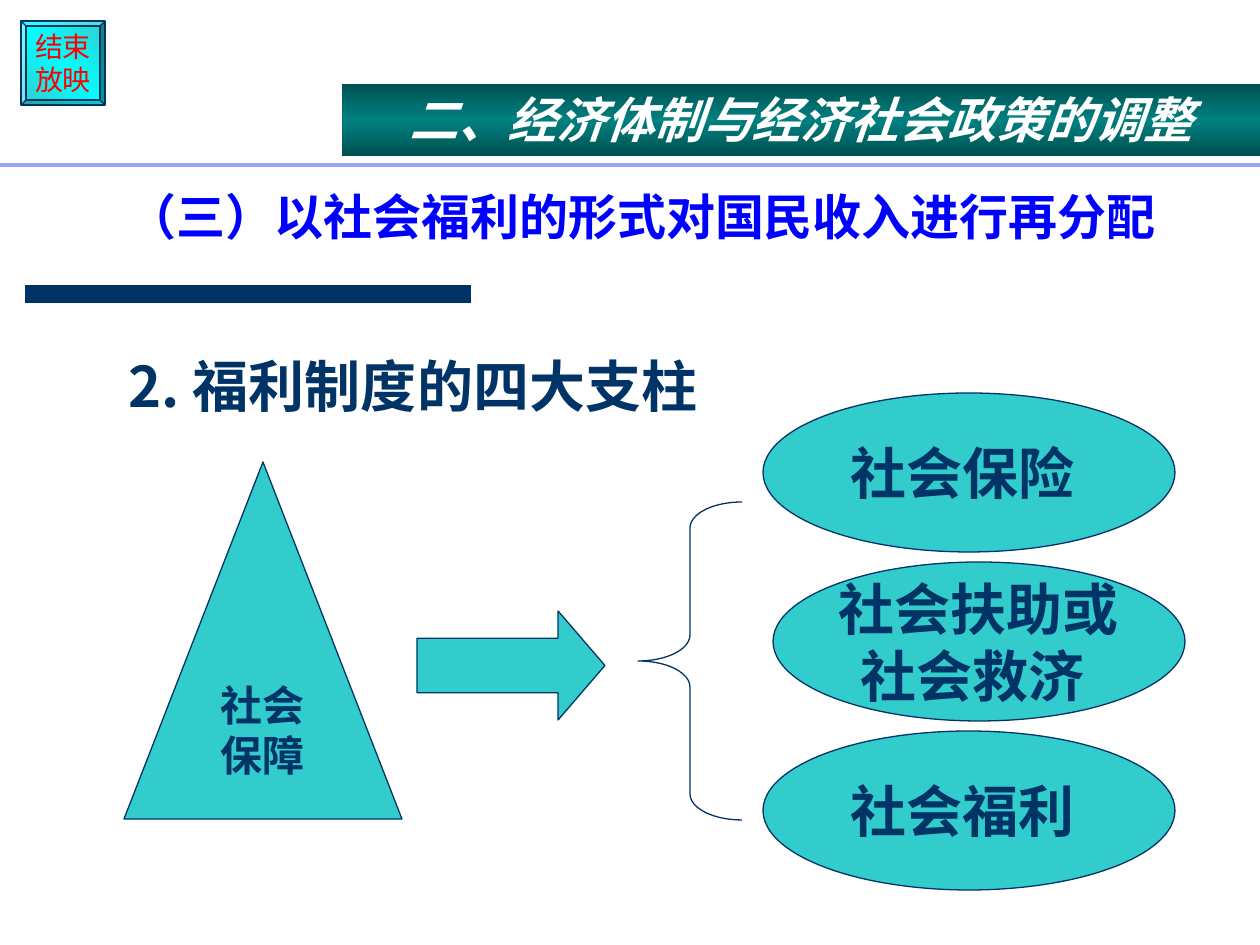
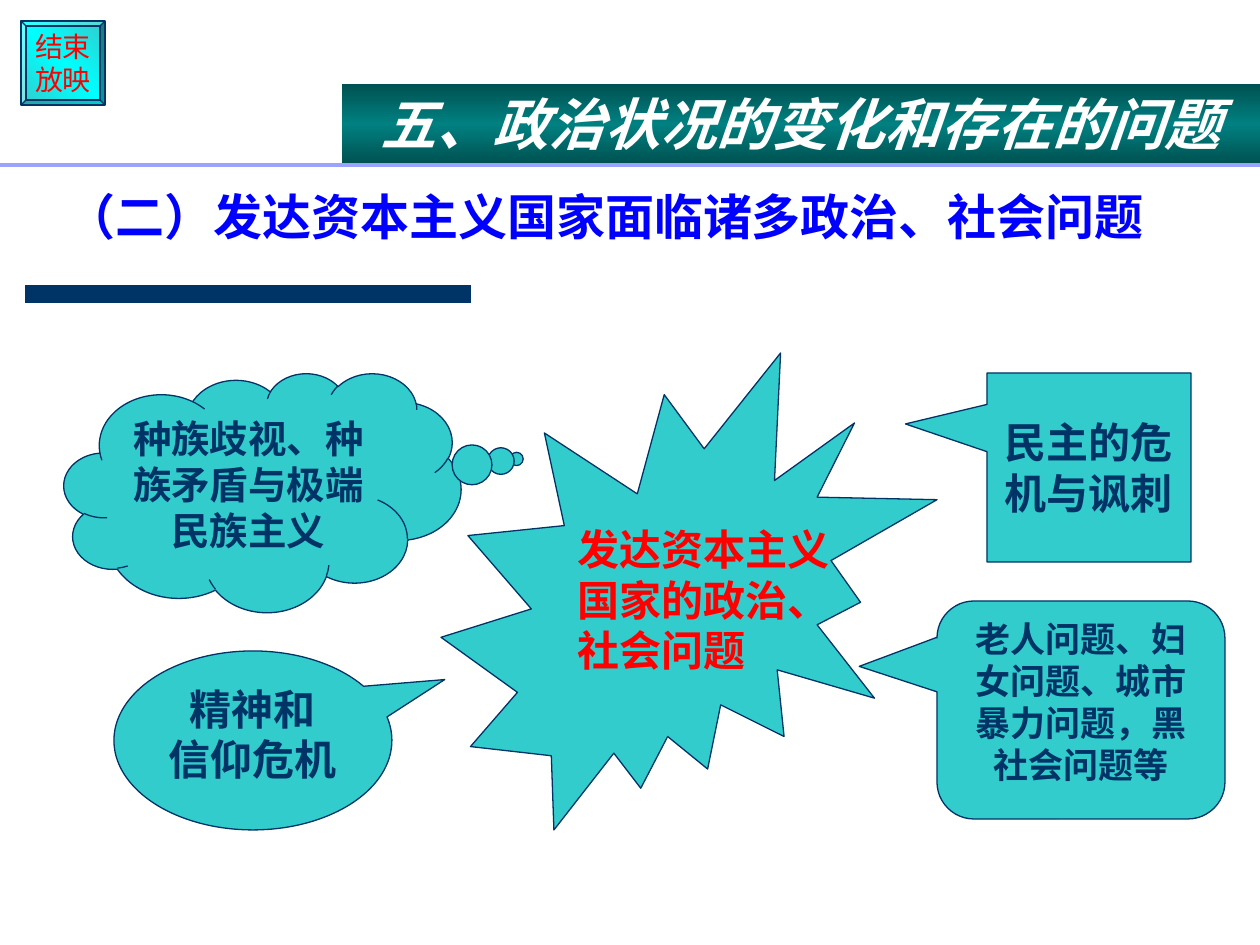
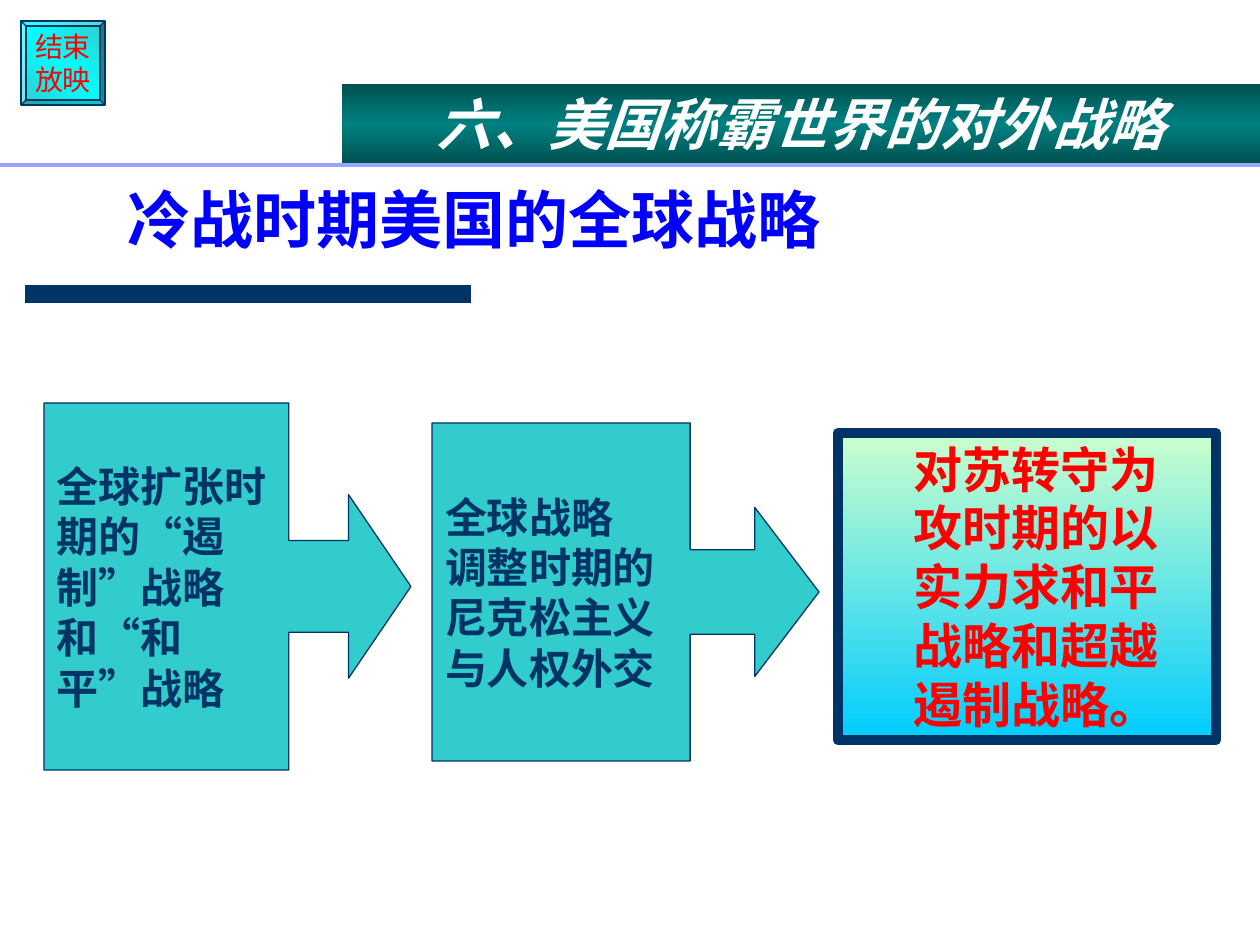
import dataclasses

import pptx
import pptx.dml.color
import pptx.enum.shapes
import pptx.enum.text
import pptx.oxml
import pptx.oxml.ns
import pptx.util

SHAPE = pptx.enum.shapes.MSO_SHAPE
ALIGN = pptx.enum.text.PP_ALIGN
ANCHOR = pptx.enum.text.MSO_ANCHOR
EMU_PER_PX = 914400 / 126
SLIDE_WIDTH, SLIDE_HEIGHT = 1260, 945


@dataclasses.dataclass(frozen=True)
class Theme:
    navy: str = "003366"
    teal: str = "33CCCC"
    red: str = "FF0000"
    blue: str = "0000FF"
    white: str = "FFFFFF"
    rule: str = "9BA4FD"
    banner: tuple = ("005151", "008080", "005151")
    button: tuple = ("33CCCC", "00FFFF", "33CCCC")
    outcome: tuple = ("CCFFCC", "00CCFF")
    cjk: str = "Noto Sans CJK SC"
    latin: str = "Arial"
    button_size: int = 16
    small: int = 20
    cloud: int = 22
    label: int = 24
    heading: int = 28
    large: int = 32
    display: int = 36
    outline: float = 0.75


THEME = Theme()


def px(length):
    return pptx.util.Emu(round(length * EMU_PER_PX))


def rgb(color):
    return pptx.dml.color.RGBColor.from_string(color)


def write(shape, lines, size, color=THEME.navy, font=THEME.latin, bold=True,
          italic=False, align=ALIGN.CENTER, anchor=ANCHOR.MIDDLE, wrap=True,
          spacing=None, left=13, top=6):
    """Fill a shape with one paragraph per line, all in the same format."""
    frame = shape.text_frame
    frame_format = {
        "word_wrap": wrap, "vertical_anchor": anchor,
        "margin_left": px(left), "margin_right": px(13),
        "margin_top": px(top), "margin_bottom": px(6),
    }
    for name, value in frame_format.items():
        setattr(frame, name, value)
    run_format = {"size": pptx.util.Pt(size), "name": font,
                  "bold": bold, "italic": italic}
    for index, line in enumerate(lines):
        paragraph = frame.add_paragraph() if index else frame.paragraphs[0]
        paragraph.alignment = align
        if spacing:
            paragraph.line_spacing = spacing
        run = paragraph.add_run()
        run.text = line
        for name, value in run_format.items():
            setattr(run.font, name, value)
        run.font.color.rgb = rgb(color)
        east_asian = pptx.oxml.parse_xml(
            f'<a:ea {pptx.oxml.ns.nsdecls("a")} typeface="{THEME.cjk}"/>')
        run.font._element.append(east_asian)


def paint_gradient(shape, colors, angle):
    """Spread the colours evenly; the angle runs clockwise from left to right."""
    shape.fill.gradient()
    shape.fill.gradient_angle = 360 - angle
    stops = shape._element.spPr.find(".//" + pptx.oxml.ns.qn("a:gsLst"))
    for stop in list(stops):
        stops.remove(stop)
    for index, color in enumerate(colors):
        position = round(100000 * index / (len(colors) - 1))
        stops.append(pptx.oxml.parse_xml(
            f'<a:gs {pptx.oxml.ns.nsdecls("a")} pos="{position}">'
            f'<a:srgbClr val="{color}"/></a:gs>'))


def add_figure(slide, kind, box, adjustments=(), fill=THEME.teal, angle=90,
               outline=THEME.outline):
    """Add a preset shape; fill is a colour, a tuple of gradient colours or None."""
    figure = slide.shapes.add_shape(kind, *map(px, box))
    figure.shadow.inherit = False
    for index, value in enumerate(adjustments):
        figure.adjustments[index] = value
    if fill is None:
        figure.fill.background()
    elif isinstance(fill, tuple):
        paint_gradient(figure, fill, angle)
    else:
        figure.fill.solid()
        figure.fill.fore_color.rgb = rgb(fill)
    if outline:
        figure.line.color.rgb = rgb(THEME.navy)
        figure.line.width = pptx.util.Pt(outline)
    else:
        figure.line.fill.background()
    return figure


def add_rule(slide, start, end, y, color, width):
    rule = slide.shapes.add_connector(
        pptx.enum.shapes.MSO_CONNECTOR.STRAIGHT, px(start), px(y), px(end), px(y))
    rule.line.color.rgb = rgb(color)
    rule.line.width = pptx.util.Pt(width)
    rule._element.spPr.append(pptx.oxml.parse_xml(
        f'<a:effectLst {pptx.oxml.ns.nsdecls("a")}/>'))


def add_text(slide, box, text, size, color, **text_format):
    write(slide.shapes.add_textbox(*map(px, box)), [text], size, color,
          THEME.cjk, align=ALIGN.LEFT, **text_format)


def add_page(deck, chapter, chapter_size, section, section_box, section_size):
    """Add a slide with the end button, chapter banner, rules and section title."""
    slide = deck.slides.add_slide(deck.slide_layouts[6])
    add_rule(slide, 25, 471, 294, THEME.navy, 10)
    end_button = add_figure(slide, SHAPE.BEVEL, (21, 21, 84, 84), (0.06,),
                            THEME.button, 135)
    write(end_button, ["结束", "放映"], THEME.button_size, THEME.red,
          bold=False, wrap=False)
    add_text(slide, section_box, section, section_size, THEME.blue,
             anchor=ANCHOR.BOTTOM, spacing=0.9)
    banner_height = round(2.1 * chapter_size + 13)
    banner = add_figure(slide, SHAPE.RECTANGLE,
                        (342, 84, SLIDE_WIDTH - 342, banner_height),
                        fill=THEME.banner, outline=None)
    write(banner, [chapter], chapter_size, THEME.white, THEME.cjk, italic=True,
          anchor=ANCHOR.TOP)
    add_rule(slide, 0, SLIDE_WIDTH, 165, THEME.rule, 1.75)
    return slide


def add_welfare_pillars(deck):
    slide = add_page(deck, "二、经济体制与经济社会政策的调整", THEME.heading,
                     "（三）以社会福利的形式对国民收入进行再分配",
                     (115, 115, 1072, 137), THEME.heading)
    add_text(slide, (116, 345, 742, 97), "2. 福利制度的四大支柱", THEME.large,
             THEME.navy, anchor=ANCHOR.TOP)
    security = add_figure(slide, SHAPE.ISOSCELES_TRIANGLE, (124, 462, 278, 357))
    write(security, ["社会", " 保障 "], THEME.label, font=THEME.cjk, wrap=False)
    add_figure(slide, SHAPE.RIGHT_ARROW, (417, 611, 188, 109), (0.5, 0.43))
    add_figure(slide, SHAPE.LEFT_BRACE, (638, 502, 104, 318), (0.25, 0.5), None)
    pillars = [
        (763, ["社会保险 "], THEME.cjk),
        (773, ["社会扶助或", "社会救济 "], THEME.latin),
        (763, ["社会福利 "], THEME.cjk),
    ]
    for row, (left, lines, font) in enumerate(pillars):
        pillar = add_figure(slide, SHAPE.OVAL, (left, 393 + 169 * row, 412, 159))
        write(pillar, lines, THEME.large, font=font, wrap=False)


def add_social_problems(deck):
    slide = add_page(deck, "五、政治状况的变化和存在的问题", THEME.large,
                     "（二）发达资本主义国家面临诸多政治、社会问题",
                     (54, 115, 1160, 137), THEME.heading)
    core = add_figure(slide, SHAPE.EXPLOSION2, (441, 353, 496, 477))
    write(core, ["发达资本主义", "国家的政治、", "社会问题"], THEME.label,
          THEME.red, align=ALIGN.LEFT, wrap=False)
    problems = [
        (SHAPE.RECTANGULAR_CALLOUT, (987, 373, 204, 189), (-0.9, -0.23),
         ["民主的危机与讽刺"], THEME.label, 44),
        (SHAPE.CLOUD_CALLOUT, (64, 373, 397, 239), (0.64, -0.14),
         ["种族歧视、种族矛盾与极端民族主义"], THEME.cloud, 6),
        (SHAPE.OVAL_CALLOUT, (114, 651, 278, 179), (0.69, -0.34),
         ["精神和", "信仰危机"], THEME.label, 6),
        (SHAPE.ROUNDED_RECTANGULAR_CALLOUT, (937, 601, 288, 218),
         (-0.77, -0.2, 0.17),
         ["老人问题、妇女问题、城市暴力问题，黑社会问题等"], THEME.small, 6),
    ]
    for kind, box, adjustments, lines, size, top in problems:
        problem = add_figure(slide, kind, box, adjustments)
        write(problem, lines, size, anchor=ANCHOR.TOP, top=top)


def add_global_strategy(deck):
    slide = add_page(deck, "六、美国称霸世界的对外战略", THEME.large,
                     "冷战时期美国的全球战略", (115, 126, 1072, 137),
                     THEME.display)
    stages = [
        ((44, 403, 367, 367), 0.17,
         ["全球扩张时期的“遏制”战略和“和平”战略"], True),
        ((432, 423, 387, 338), 0.19,
         ["全球战略", "调整时期的", "尼克松主义", "与人权外交"], False),
    ]
    for box, head, lines, wrap in stages:
        stage = add_figure(slide, SHAPE.RIGHT_ARROW_CALLOUT, box,
                           (0.25, 0.25, head, 0.667))
        write(stage, lines, THEME.label, align=ALIGN.LEFT, wrap=wrap)
    outcome = add_figure(slide, SHAPE.RECTANGLE, (838, 433, 378, 307),
                         fill=THEME.outcome, outline=6)
    write(outcome, ["对苏转守为攻时期的以实力求和平战略和超越遏制战略。"],
          THEME.heading, THEME.red, align=ALIGN.LEFT, anchor=ANCHOR.TOP, left=76)


def main():
    deck = pptx.Presentation()
    deck.slide_width, deck.slide_height = px(SLIDE_WIDTH), px(SLIDE_HEIGHT)
    add_welfare_pillars(deck)
    add_social_problems(deck)
    add_global_strategy(deck)
    deck.save("out.pptx")


if __name__ == "__main__":
    main()
